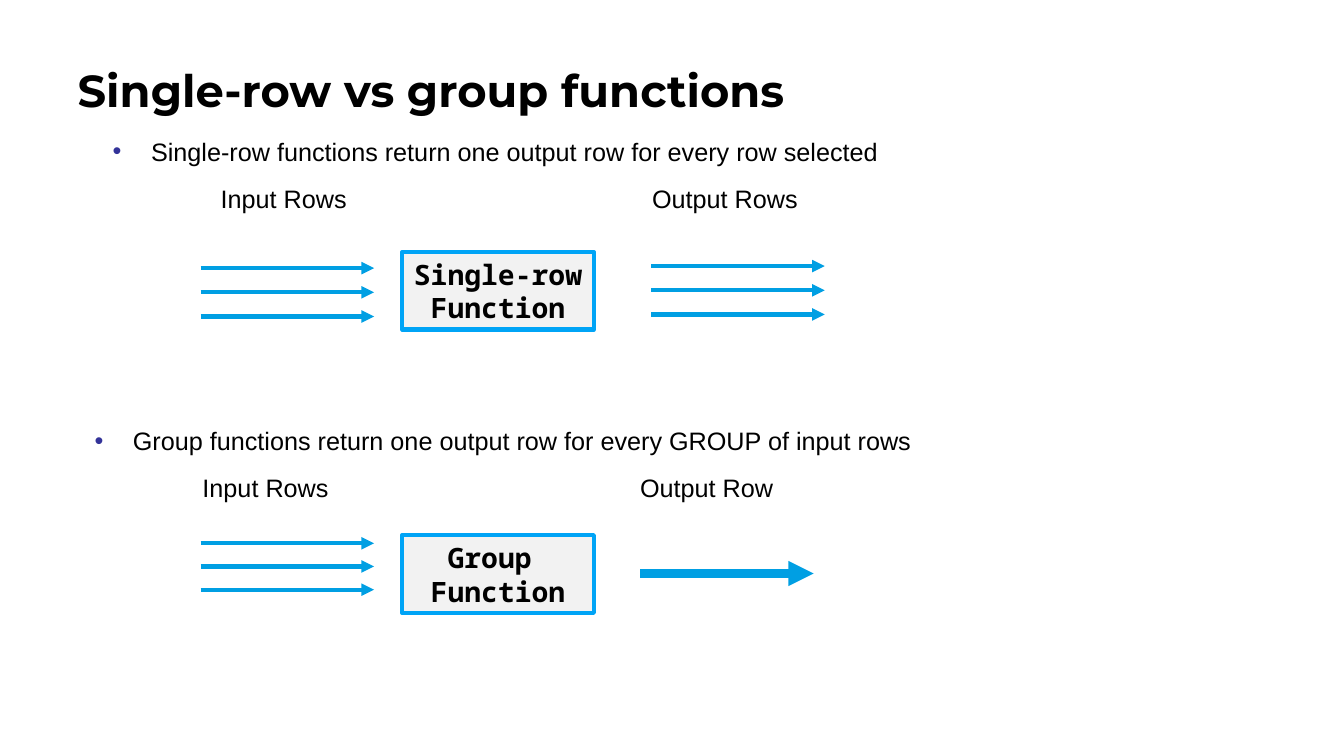
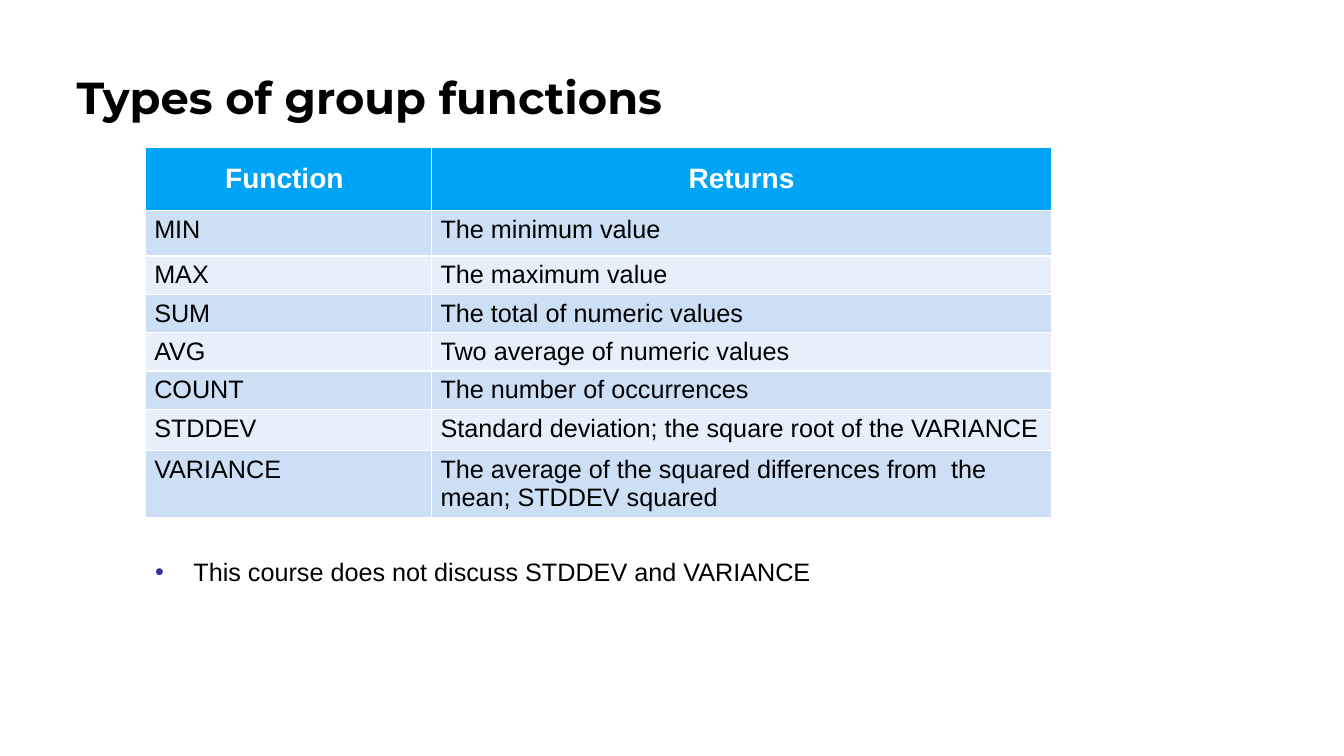
from pptx import Presentation
from pptx.dml.color import RGBColor
from pptx.enum.dml import MSO_LINE
from pptx.enum.shapes import MSO_CONNECTOR, MSO_SHAPE
from pptx.enum.text import MSO_ANCHOR, MSO_AUTO_SIZE, PP_ALIGN
from pptx.oxml.ns import qn
from pptx.util import Inches, Pt
from lxml import etree

STRAIGHT = MSO_CONNECTOR.STRAIGHT
RECTANGLE = MSO_SHAPE.RECTANGLE
SOLID = MSO_LINE.SOLID
TOP, MIDDLE = MSO_ANCHOR.TOP, MSO_ANCHOR.MIDDLE
LEFT, CENTER = PP_ALIGN.LEFT, PP_ALIGN.CENTER

rgb = RGBColor.from_string
BLACK, WHITE = "000000", "FFFFFF"
BLUE, ARROW_BLUE, BULLET_BLUE = "00A4F6", "009FE3", "333399"
BOX_GREY, BAND_DARK, BAND_LIGHT = "F2F2F2", "CCDFF4", "E7F0FA"
TITLE_FONT, BODY_FONT, CODE_FONT = "Montserrat", "Arial", "Noto Sans Mono"

prs = Presentation()
prs.slide_width, prs.slide_height = Inches(13.33), Inches(7.5)


def add_run(p, text, size=18, font=BODY_FONT, color=BLACK, bold=False):
    r = p.add_run()
    r.text = text
    r.font.size, r.font.name, r.font.bold = Pt(size), font, bold
    r.font.color.rgb = rgb(color)


def add_bullet_box(s, left, top, width, height, text):
    """Add a text box that opens with a bulleted line; return its text frame."""
    tf = s.shapes.add_textbox(Inches(left), Inches(top), Inches(width), Inches(height)).text_frame
    tf.word_wrap = True
    p = tf.paragraphs[0]
    pPr = p._p.get_or_add_pPr()
    pPr.set("marL", str(Inches(0.38)))
    pPr.set("indent", str(-Inches(0.38)))
    color = etree.SubElement(pPr, qn("a:buClr"))
    etree.SubElement(color, qn("a:srgbClr"), val=BULLET_BLUE)
    etree.SubElement(pPr, qn("a:buFont"), typeface=BODY_FONT)
    etree.SubElement(pPr, qn("a:buChar"), char="•")
    p.space_after = Pt(12)
    add_run(p, text)
    return tf


# Slides and titles
slides = []
for title, left, top in [("Single-row vs group functions", 0.67, 0.57),
                         ("Types of group functions", 0.66, 0.64)]:
    s = prs.slides.add_slide(prs.slide_layouts[5])
    sp = s.shapes.title
    sp.left, sp.top, sp.width, sp.height = Inches(left), Inches(top), Inches(12.03), Inches(0.64)
    tf = sp.text_frame
    tf.auto_size, tf.word_wrap, tf.vertical_anchor = MSO_AUTO_SIZE.NONE, True, TOP
    p = tf.paragraphs[0]
    p.alignment = LEFT
    add_run(p, title, 32, TITLE_FONT, bold=True)
    slides.append(s)
compare_slide, types_slide = slides

# Slide 1: bullet, column labels with their tab stops, and function box
s = compare_slide
for left, top, height, bullet, output_label, output_tab, box_top, box_lines in [
    (1.02, 1.3, 1.1, "Single-row functions return one output row for every row selected",
     "Output Rows", 5.35, 2.5, ["Single-row ", "Function"]),
    (0.84, 4.17, 1.02, "Group functions return one output row for every GROUP of input rows",
     "Output Row", 5.41, 5.31, ["Group ", "Function"]),
]:
    tf = add_bullet_box(s, left, top, 9.4, height, bullet)
    p = tf.add_paragraph()
    tabs = etree.SubElement(p._p.get_or_add_pPr(), qn("a:tabLst"))
    for stop in (1.07, output_tab):
        etree.SubElement(tabs, qn("a:tab"), pos=str(Inches(stop)), algn="l")
    p.space_after = Pt(12)
    add_run(p, "\tInput Rows\t" + output_label)

    box = s.shapes.add_shape(RECTANGLE, Inches(3.99), Inches(box_top), Inches(1.9), Inches(0.77))
    box.shadow.inherit = False
    box.fill.solid()
    box.fill.fore_color.rgb = rgb(BOX_GREY)
    box.line.color.rgb = rgb(BLUE)
    box.line.width = Pt(3)
    tf = box.text_frame
    tf.word_wrap, tf.vertical_anchor = True, MIDDLE
    for i, line in enumerate(box_lines):
        p = tf.add_paragraph() if i else tf.paragraphs[0]
        p.alignment = CENTER
        add_run(p, line, 20, CODE_FONT, bold=True)

# Slide 1: arrows in stacks of equal gaps (left, first y, gap, count, weight)
for left, first, gap, count, weight in [
    (1.99, 2.66, 0.24, 3, 3),
    (6.46, 2.64, 0.24, 3, 3),
    (1.99, 5.39, 0.23, 3, 3),
    (6.35, 5.69, 0, 1, 6),
]:
    for i in range(count):
        y = Inches(first + i * gap)
        arrow = s.shapes.add_connector(STRAIGHT, Inches(left), y, Inches(left + 1.72), y)
        arrow.line.color.rgb = rgb(ARROW_BLUE)
        arrow.line.width = Pt(weight)
        arrow.line.dash_style = SOLID
        etree.SubElement(arrow.line._get_or_add_ln(), qn("a:tailEnd"), type="triangle")
        etree.SubElement(arrow._element.spPr, qn("a:effectLst"))

# Slide 2: table of functions and closing note
s = types_slide
rows = [
    ("Function ", "Returns"),
    ("MIN", "The minimum value"),
    ("MAX", "The maximum value"),
    ("SUM", "The total of numeric values"),
    ("AVG", "Two average of numeric values"),
    ("COUNT", "The number of occurrences"),
    ("STDDEV", "Standard deviation; the square root of the VARIANCE"),
    ("VARIANCE", "The average of the squared differences from  the mean; STDDEV squared"),
]
row_heights = [0.63, 0.45, 0.38, 0.38, 0.38, 0.38, 0.41, 0.65]
table = s.shapes.add_table(len(rows), 2, Inches(1.44), Inches(1.46),
                           Inches(8.99), Inches(sum(row_heights))).table
for column, width in zip(table.columns, (2.84, 6.15)):
    column.width = Inches(width)
for i, (texts, height) in enumerate(zip(rows, row_heights)):
    table.rows[i].height = Inches(height)
    for j, text in enumerate(texts):
        cell = table.cell(i, j)
        cell.margin_left = cell.margin_right = Inches(0.09)
        cell.margin_top = cell.margin_bottom = Inches(0.05)
        cell.fill.solid()
        p = cell.text_frame.paragraphs[0]
        if i == 0:
            cell.fill.fore_color.rgb = rgb(BLUE)
            cell.vertical_anchor = MIDDLE
            p.alignment = CENTER
            add_run(p, text, 20, color=WHITE, bold=True)
        else:
            cell.fill.fore_color.rgb = rgb(BAND_DARK if i % 2 else BAND_LIGHT)
            add_run(p, text)

add_bullet_box(s, 1.44, 5.47, 9.21, 0.61, "This course does not discuss STDDEV and VARIANCE")

prs.save("out.pptx")
